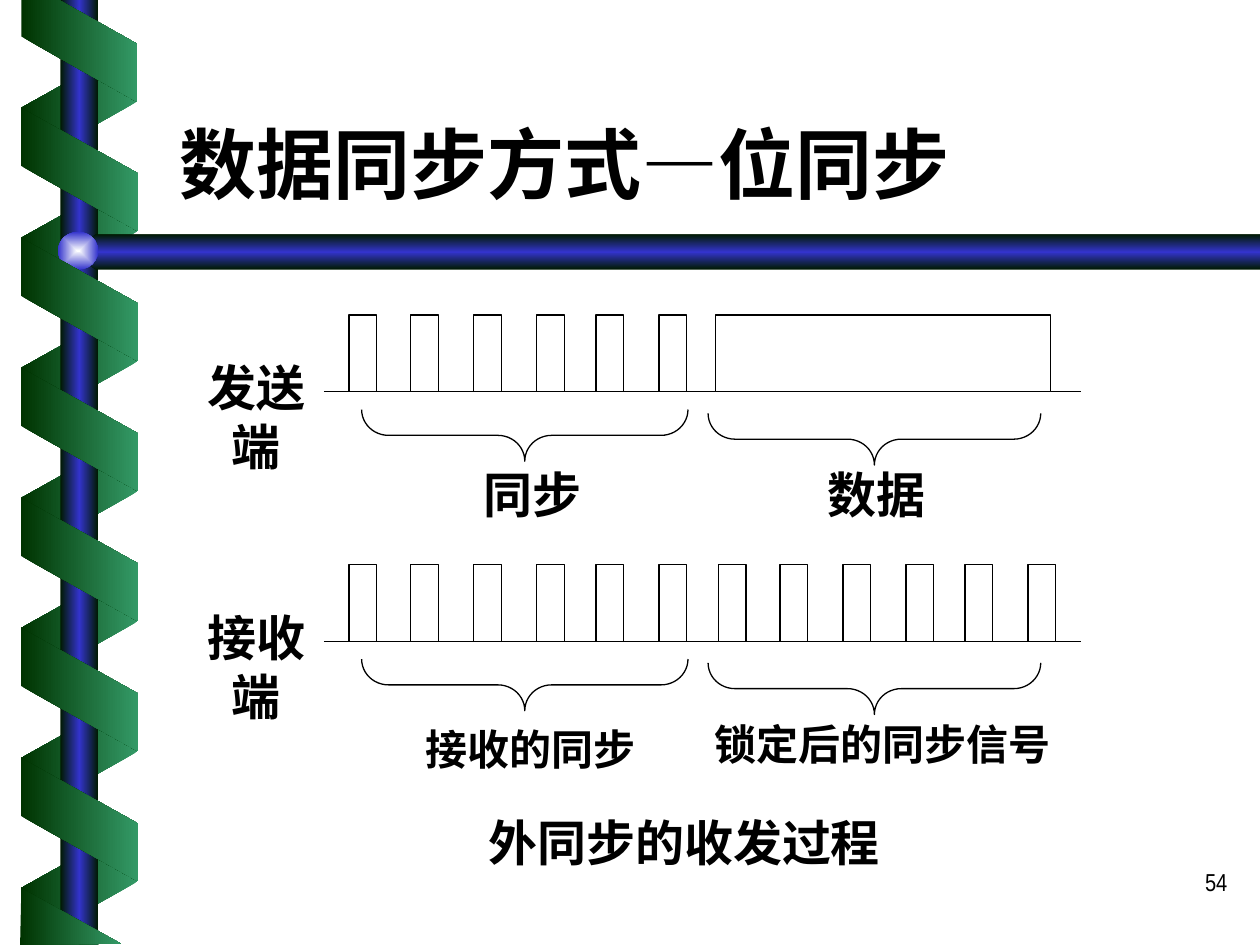
"""Build the slide on bit synchronisation between sender and receiver."""
from lxml import etree
from pptx import Presentation
from pptx import util as u
from pptx.dml.color import RGBColor
from pptx.enum import shapes, text
from pptx.oxml import parse_xml
from pptx.oxml.ns import nsdecls, qn

BLACK = RGBColor(0x00, 0x00, 0x00)
WHITE = RGBColor(0xFF, 0xFF, 0xFF)
DARK_GREEN = RGBColor(0x00, 0x33, 0x00)
GREEN = RGBColor(0x33, 0x99, 0x66)
NIGHT = RGBColor(0x00, 0x1A, 0x00)
BLUE = RGBColor(0x33, 0x33, 0xCC)
GLOW = RGBColor(0xFE, 0xFF, 0xFF)

COLS, ROWS = 100, 75
BAR = (NIGHT, BLUE, NIGHT)
RIBBON = (DARK_GREEN, GREEN)
PITCH = 10.32
PULSES = (27.7, 32.6, 37.6, 42.6, 47.3, 52.3)
LOCKED_SHIFT = 29.3
STEP = 19.8


class Deck:
    """Hold the style and the current slide, measured in columns and rows."""

    font = "Times New Roman"
    line = u.Pt(0.75)

    def __init__(self, prs):
        self.col = prs.slide_width / COLS
        self.row = prs.slide_height / ROWS
        self.s = prs.slides.add_slide(prs.slide_layouts[6])

    def box(self, x, y, w, h):
        return [int(v) for v in (x * self.col, y * self.row, w * self.col, h * self.row)]

    def shape(self, kind, x, y, w, h, rotation=0, adj=None):
        sp = self.s.shapes.add_shape(kind, *self.box(x, y, w, h))
        sp.shadow.inherit = False
        sp.rotation = rotation
        if adj is not None:
            sp.adjustments[0] = adj
        sp.fill.background()
        sp.line.fill.background()
        return sp

    def outline(self, sp):
        sp.line.color.rgb = BLACK
        sp.line.width = self.line

    def gradient(self, sp, colours, angle=0, centred=False):
        last = len(colours) - 1
        stops = "".join(
            f'<a:gs pos="{100000 * i // last}"><a:srgbClr val="{c}"/></a:gs>'
            for i, c in enumerate(colours))
        shade = f'<a:lin ang="{angle * 60000}" scaled="1"/>'
        if centred:
            shade = ('<a:path path="rect"><a:fillToRect l="50000" t="50000" '
                     'r="50000" b="50000"/></a:path>')
        sp.fill.gradient()
        pr = sp._element.spPr
        pr.replace(pr.find(qn("a:gradFill")), parse_xml(
            f'<a:gradFill {nsdecls("a")} rotWithShape="0">'
            f'<a:gsLst>{stops}</a:gsLst>{shade}</a:gradFill>'))

    def ribbon(self, y, h, back=False):
        sp = self.shape(shapes.MSO_SHAPE.PARALLELOGRAM, 1.4, y, 9.8, h,
                        90 if back else 270, 0.56)
        if back:
            sp._element.spPr.xfrm.set("flipH", "1")
        self.gradient(sp, RIBBON[::-1] if back else RIBBON)

    def outlined_area(self, points, colours, angle=0):
        pts = [(x * self.col, y * self.row) for x, y in points]
        fb = self.s.shapes.build_freeform(*pts[0])
        fb.add_line_segments(pts[1:], close=True)
        sp = fb.convert_to_shape()
        sp.shadow.inherit = False
        sp.line.fill.background()
        self.gradient(sp, colours, angle)

    def pulse(self, x, y, w=2.2):
        sp = self.shape(shapes.MSO_SHAPE.RECTANGLE, x, y, w, 6.1)
        sp.fill.solid()
        sp.fill.fore_color.rgb = WHITE
        self.outline(sp)

    def baseline(self, y):
        x1, y1, x2, _ = self.box(25.7, y, 85.8, 0)
        sp = self.s.shapes.add_connector(shapes.MSO_CONNECTOR.STRAIGHT, x1, y1, x2, y1)
        self.outline(sp)
        etree.SubElement(sp._element.spPr, qn("a:effectLst"))

    def brace(self, x, y, span):
        depth = 4.1
        sp = self.shape(shapes.MSO_SHAPE.LEFT_BRACE, x + (span - depth) / 2,
                        y - (span - depth) / 2, depth, span, 270, 0.52)
        self.outline(sp)

    def label(self, words, x, y, w, h, size=28, align=text.PP_ALIGN.CENTER,
              margins=(0, 0), anchor=text.MSO_ANCHOR.TOP, **font):
        tf = self.s.shapes.add_textbox(*self.box(x, y, w, h)).text_frame
        side, end = (u.Inches(m) for m in margins)
        frame = {"word_wrap": True, "vertical_anchor": anchor, "margin_left": side,
                 "margin_right": side, "margin_top": end, "margin_bottom": end}
        for name, value in frame.items():
            setattr(tf, name, value)
        p = tf.paragraphs[0]
        p.alignment = align
        r = p.add_run()
        r.text = words
        style = {"name": self.font, "size": u.Pt(size), "bold": True, **font}
        for name, value in style.items():
            setattr(r.font, name, value)
        r.font.color.rgb = BLACK


def draw_frame(d):
    for i in range(7):
        d.ribbon(3.7 + i * PITCH, 9.2, back=True)
    d.gradient(d.shape(shapes.MSO_SHAPE.RECTANGLE, 4.8, 0, 3, ROWS), BAR)
    d.outlined_area([(100, 18.6), (7.6, 18.6), (6, 20), (7.6, 21.4), (100, 21.4)], BAR, 90)
    d.gradient(d.shape(shapes.MSO_SHAPE.OVAL, 4.6, 18.4, 3.2, 3), (GLOW, BLUE), centred=True)
    for i in range(6):
        d.ribbon(8.8 + i * PITCH, 9.3)
    d.outlined_area([(1.7, 0), (1.7, 2.9), (10.9, 8.1), (10.9, 3.5), (4.7, 0)], RIBBON)
    d.outlined_area([(9.6, 74.9), (1.7, 70.5), (1.6, 75)], RIBBON)


def draw_signals(d):
    for i, end in enumerate(("发送端", "接收端")):
        top = 25 + i * STEP
        for x in PULSES:
            d.pulse(x, top)
        d.baseline(top + 6.1)
        d.brace(28.7, top + 7.5, 25.9)
        d.brace(56.2, top + 7.8, 26.4)
        d.label(end, 15, top + 3.4, 10.7, 4.8)
    d.pulse(56.8, 25, 26.6)
    for x in PULSES:
        d.pulse(x + LOCKED_SHIFT, 25 + STEP)


def main():
    prs = Presentation()
    prs.slide_width, prs.slide_height = u.Inches(10), u.Inches(7.5)
    d = Deck(prs)
    draw_frame(d)
    d.label("54", 77.6, 68.3, 20.8, 5, 14, text.PP_ALIGN.RIGHT, (0.1, 0.05),
            name="Arial Narrow", bold=False)
    d.label("数据同步方式—位同步", 13.3, 4.6, 85, 12.5, 44, text.PP_ALIGN.LEFT,
            (0.1, 0.05), text.MSO_ANCHOR.BOTTOM)
    draw_signals(d)
    d.label("同步", 36.9, 36.9, 10.7, 4.8)
    d.label("数据", 64.2, 36.9, 10.7, 4.8)
    d.label("接收的同步", 31.7, 57.4, 20.8, 4.1, 24)
    d.label("锁定后的同步信号", 56.5, 57, 27.1, 4.8, 24)
    d.label("外同步的收发过程", 25.7, 64.5, 57.2, 5.5)
    prs.save("out.pptx")


if __name__ == "__main__":
    main()
